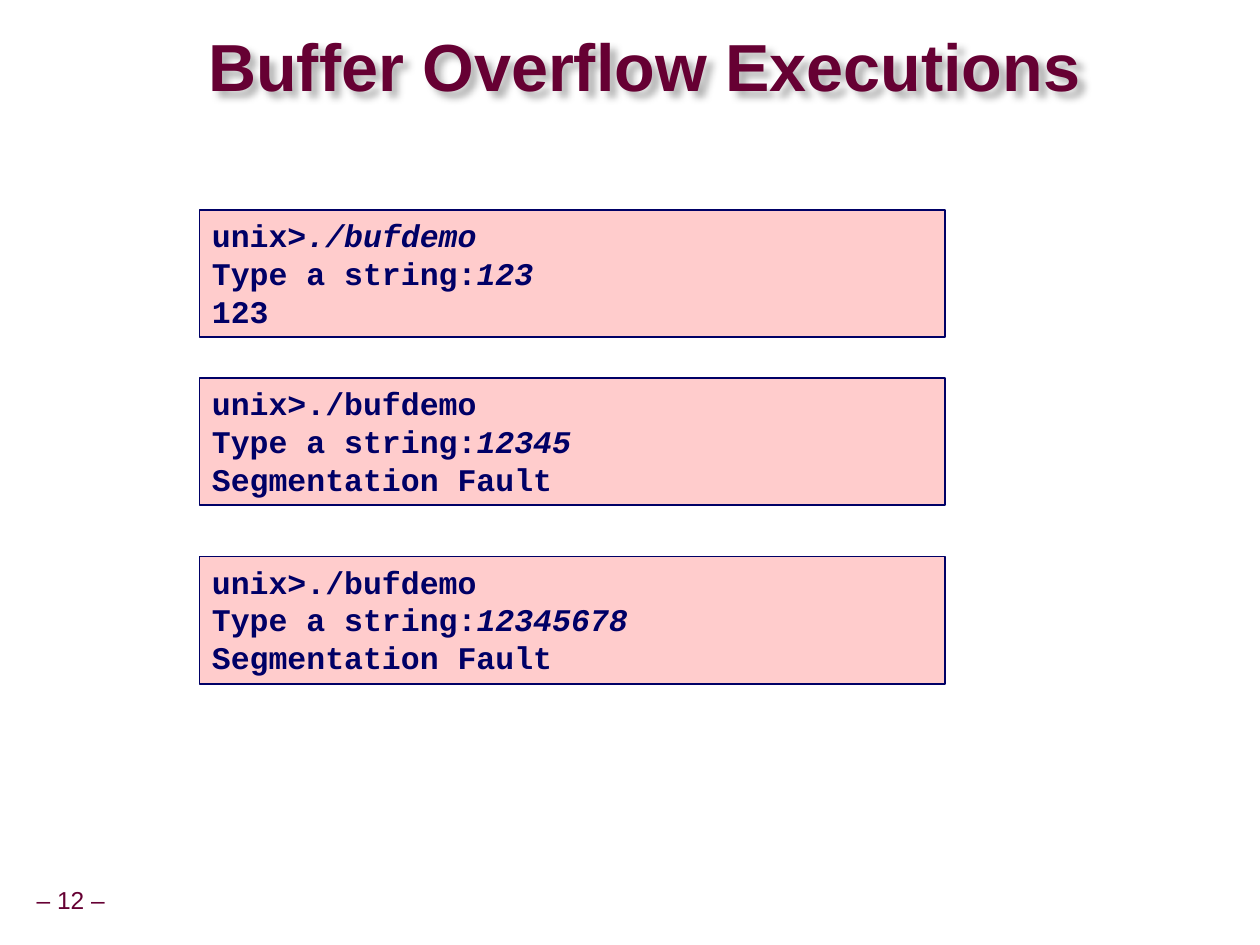
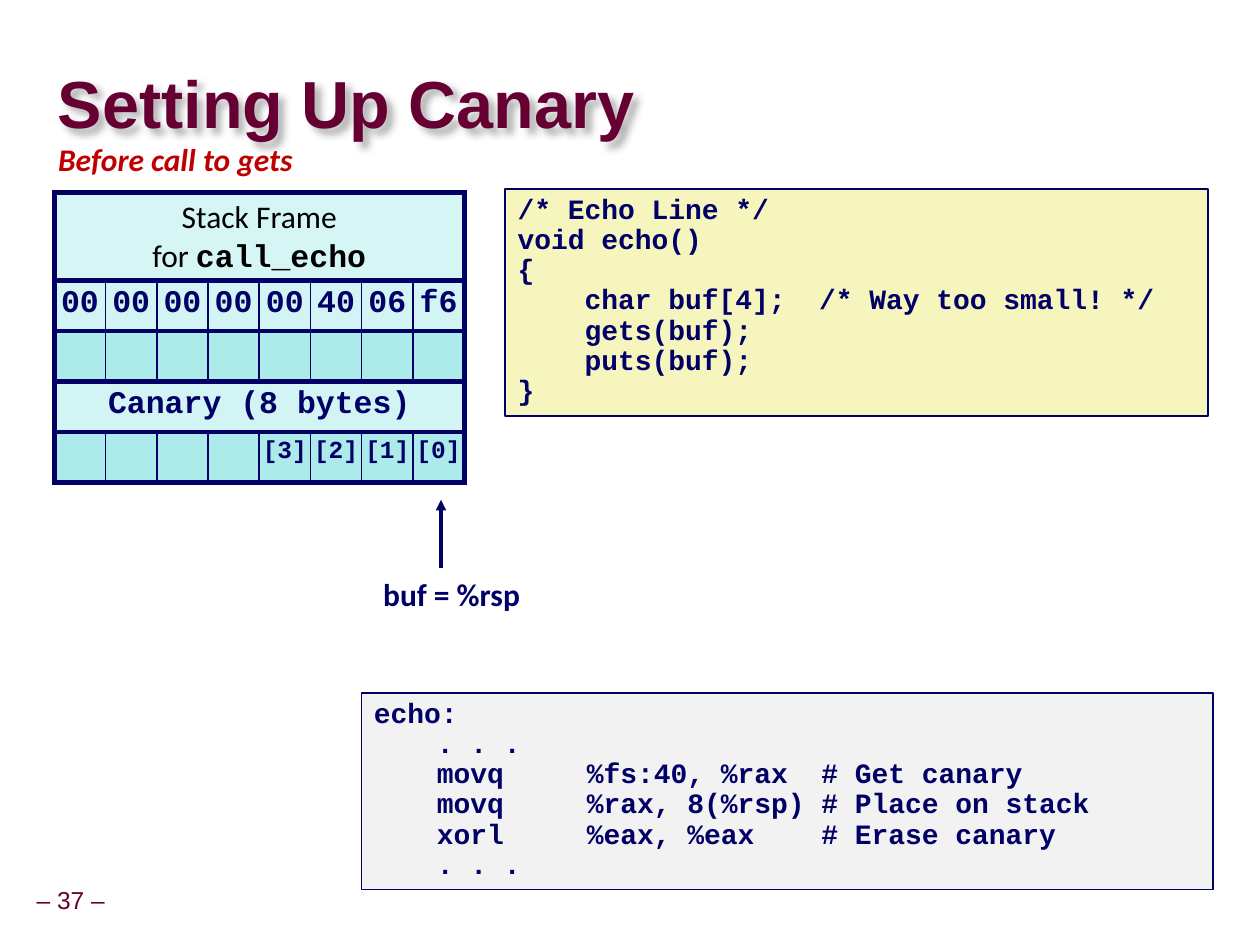
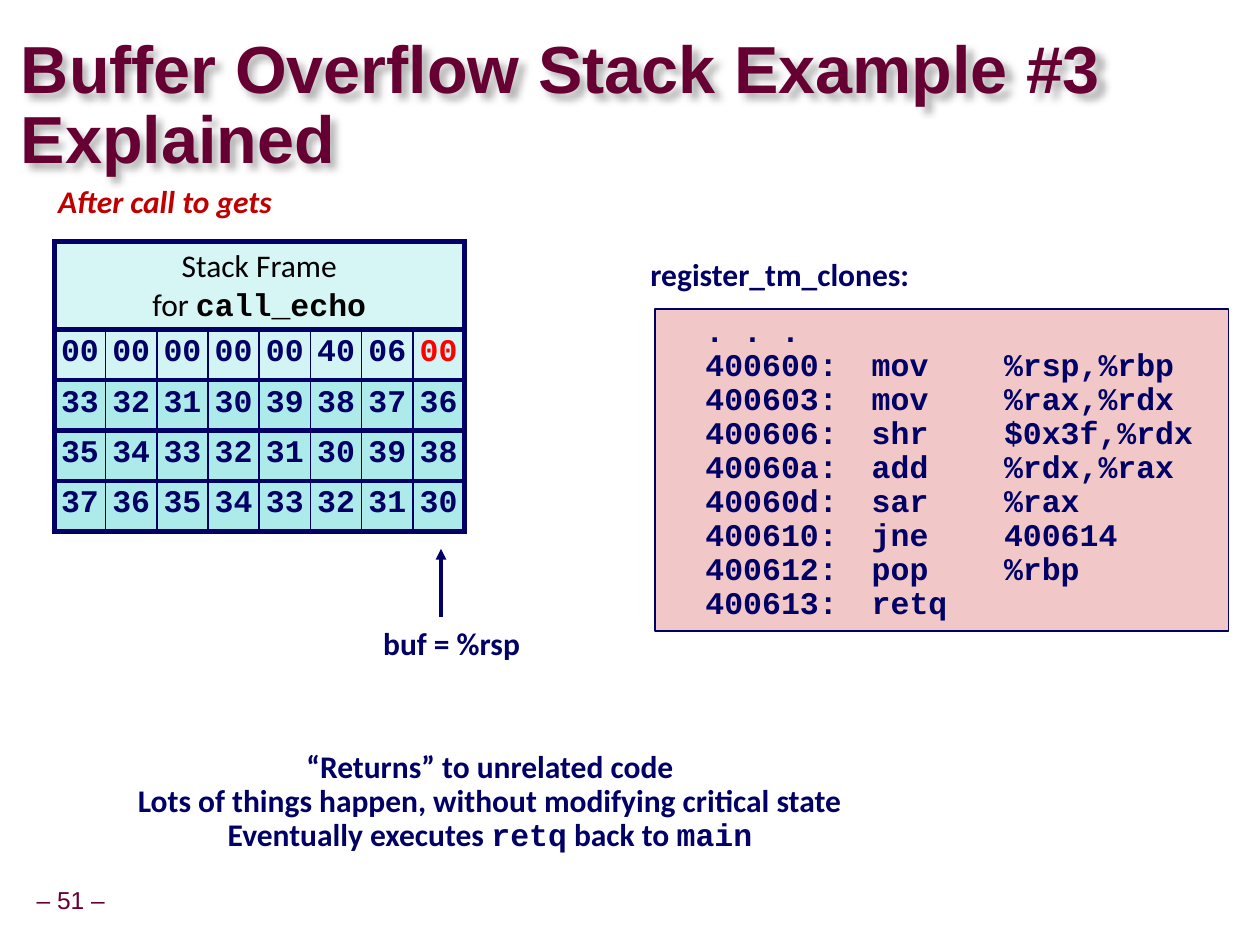
"""Build three lecture slides about buffer overflows and stack canaries."""
from dataclasses import dataclass, replace
from functools import partial
from typing import Optional, Sequence

from lxml.etree import SubElement
from pptx import Presentation
from pptx.dml.color import RGBColor
from pptx.enum.shapes import MSO_CONNECTOR as Connector, MSO_SHAPE as Preset
from pptx.enum.text import MSO_ANCHOR as Anchor, PP_ALIGN as Align
from pptx.oxml.ns import qn
from pptx.util import Pt

NAVY = RGBColor(0x00, 0x00, 0x66)
MAROON = RGBColor(0x66, 0x00, 0x33)
CRIMSON = RGBColor(0xC0, 0x00, 0x00)
RED = RGBColor(0xFF, 0x00, 0x00)
BLACK = RGBColor(0x00, 0x00, 0x00)
PINK = RGBColor(0xFF, 0xCC, 0xCC)
ROSE = RGBColor(0xF1, 0xC7, 0xC7)
YELLOW = RGBColor(0xF6, 0xF5, 0xBD)
GREY = RGBColor(0xF2, 0xF2, 0xF2)
FRAME_FILL = RGBColor(0xD6, 0xF5, 0xF5)
LIGHT_FILL = RGBColor(0xD2, 0xF4, 0xF4)
BUFFER_FILL = RGBColor(0xAD, 0xEB, 0xEB)

STACK_LEFT, STACK_WIDTH, BYTES = 31, 234.4, 8
HEADER_HEIGHT, ROW_HEIGHT = 50.4, 28.8
THICK, THIN = 3, 1


@dataclass(frozen=True)
class Span:
    """A stretch of text in one style."""
    text: str
    font: str = "Calibri"
    size: float = 18
    color: RGBColor = NAVY
    bold: bool = True
    italic: bool = False


@dataclass(frozen=True)
class Frame:
    """A rectangle on the page, in points."""
    left: float
    top: float
    width: float
    height: float

    def lengths(self) -> tuple:
        """Return the four sides as slide lengths."""
        return Pt(self.left), Pt(self.top), Pt(self.width), Pt(self.height)


@dataclass(frozen=True)
class StackRow:
    """One row of the stack: eight bytes, or one value across them all."""
    values: Sequence[str]
    fill: RGBColor
    size: float = 18
    last_color: RGBColor = NAVY


Line = Sequence[Span]
code = partial(Span, font="Courier New")
typed = partial(code, italic=True)
plain = partial(Span, color=BLACK, bold=False)


def write_lines(text_frame, lines: Sequence[Line], align=Align.LEFT,
                spacing: Optional[float] = 0.9, tabs: Sequence[float] = ()) -> None:
    """Write each line as a paragraph, run by run."""
    for index, line in enumerate(lines):
        para = text_frame.add_paragraph() if index else text_frame.paragraphs[0]
        para.alignment = align
        para.line_spacing = spacing
        if tabs:
            stops = SubElement(para._p.get_or_add_pPr(), qn("a:tabLst"))
            for tab in tabs:
                SubElement(stops, qn("a:tab"), pos=str(Pt(tab)), algn="l")
        for span in line:
            run = para.add_run()
            run.text = span.text
            run.font.name = span.font
            run.font.size = Pt(span.size)
            run.font.bold = span.bold
            run.font.italic = span.italic
            run.font.color.rgb = span.color


def draw_label(page, frame: Frame, lines: Sequence[Line], wrap: bool = False):
    """Draw centred text without a border."""
    box = page.shapes.add_textbox(*frame.lengths())
    box.text_frame.word_wrap = wrap
    write_lines(box.text_frame, lines, Align.CENTER)
    return box


def draw_title(page, frame: Frame, text: str) -> None:
    """Draw the slide title with its soft shadow."""
    box = page.shapes.add_textbox(*frame.lengths())
    text_frame = box.text_frame
    text_frame.word_wrap = True
    text_frame.vertical_anchor = Anchor.MIDDLE
    text_frame.margin_left = text_frame.margin_right = 0
    text_frame.margin_top = text_frame.margin_bottom = 0
    write_lines(text_frame, [[Span(text, "Arial", 38, MAROON)]], spacing=0.87)
    effects = SubElement(box.element.spPr, qn("a:effectLst"))
    shadow = SubElement(effects, qn("a:outerShdw"), blurRad=str(Pt(4)),
                        dist=str(Pt(4)), dir="2700000", algn="tl", rotWithShape="0")
    black = SubElement(shadow, qn("a:srgbClr"), val=str(BLACK))
    SubElement(black, qn("a:alpha"), val="30000")


def add_page(deck, number: int, title_frame: Frame, title: str):
    """Add a blank page with its number and title."""
    page = deck.slides.add_slide(deck.slide_layouts[6])
    footer = Span(f"– {number} –", "Arial", 14, MAROON, bold=False)
    box = draw_label(page, Frame(16.7, 504, 47.5, 22.3), [[footer]])
    box.text_frame.vertical_anchor = Anchor.MIDDLE
    box.text_frame.margin_left = box.text_frame.margin_right = Pt(3.6)
    draw_title(page, title_frame, title)
    return page


def draw_code(page, frame: Frame, fill: RGBColor, lines: Sequence[Line],
              spacing: Optional[float] = 0.9, second_tab: float = 116.64) -> None:
    """Draw a bordered box of code."""
    box = page.shapes.add_shape(Preset.RECTANGLE, *frame.lengths())
    box.shadow.inherit = False
    box.fill.solid()
    box.fill.fore_color.rgb = fill
    box.line.color.rgb = NAVY
    box.line.width = Pt(1)
    box.text_frame.word_wrap = True
    box.text_frame.vertical_anchor = Anchor.TOP
    write_lines(box.text_frame, lines, spacing=spacing, tabs=(36, second_tab))


def style_cell(cell, fill: RGBColor, left: float, right: float) -> None:
    """Set the borders and the fill of a cell."""
    properties = cell._tc.get_or_add_tcPr()
    for side, width in zip("LRTB", (left, right, THICK, THICK)):
        border = SubElement(properties, qn(f"a:ln{side}"), w=str(Pt(width)))
        solid = SubElement(border, qn("a:solidFill"))
        SubElement(solid, qn("a:srgbClr"), val=str(NAVY))
    cell.fill.solid()
    cell.fill.fore_color.rgb = fill


def draw_stack(page, top: float, rows: Sequence[StackRow]) -> None:
    """Draw the stack table and the pointer to its buffer."""
    height = HEADER_HEIGHT + ROW_HEIGHT * len(rows)
    frame = Frame(STACK_LEFT, top, STACK_WIDTH, height)
    table = page.shapes.add_table(len(rows) + 1, BYTES, *frame.lengths()).table
    table.first_row = table.horz_banding = False
    for column in table.columns:
        column.width = Pt(STACK_WIDTH / BYTES)
    table.rows[0].height = Pt(HEADER_HEIGHT)

    header = table.cell(0, 0)
    header.merge(table.cell(0, BYTES - 1))
    style_cell(header, FRAME_FILL, THICK, THICK)
    write_lines(header.text_frame, [
        [plain("Stack Frame")],
        [plain("for "), code("call_echo", color=BLACK)],
    ], Align.CENTER, spacing=None)

    for index, row in enumerate(rows, 1):
        table.rows[index].height = Pt(ROW_HEIGHT)
        last = len(row.values) - 1
        if last == 0:
            table.cell(index, 0).merge(table.cell(index, BYTES - 1))
        for column, value in enumerate(row.values):
            cell = table.cell(index, column)
            style_cell(cell, row.fill, THIN if column else THICK,
                       THICK if column == last else THIN)
            cell.margin_left = cell.margin_right = Pt(0.72)
            cell.margin_top, cell.margin_bottom = Pt(3.6), 0
            if value:
                color = row.last_color if column == last else NAVY
                span = code(value, size=row.size, color=color)
                write_lines(cell.text_frame, [[span]], Align.CENTER)

    draw_label(page, Frame(210.2, top + 217.4, 95.8, 28.8), [[Span("buf = %rsp ")]], wrap=True)
    arrow = page.shapes.add_connector(Connector.STRAIGHT, Pt(252), Pt(top + 214.6),
                                      Pt(252), Pt(top + 175.7))
    arrow.line.color.rgb = NAVY
    arrow.line.width = Pt(2)
    properties = arrow.element.spPr
    SubElement(properties.find(qn("a:ln")), qn("a:tailEnd"), type="triangle")
    SubElement(properties, qn("a:effectLst"))


def build_executions(deck) -> None:
    """Build the slide with three runs of the program."""
    page = add_page(deck, 12, Frame(119, 17.7, 504.7, 45.4), "Buffer Overflow Executions")
    fault = "Segmentation Fault"
    first_command = [code("unix>"), typed("./bufdemo")]
    command = [code("unix>./bufdemo")]
    sessions = [
        (120, first_command, "123", "123"),
        (216, command, "12345", fault),
        (318, command, "12345678", fault),
    ]
    for top, prompt, entry, result in sessions:
        lines = [prompt, [code("Type a string:"), typed(entry)], [code(result)]]
        draw_code(page, Frame(114, top, 426, 72.8), PINK, lines, spacing=None)


def build_canary(deck) -> None:
    """Build the slide on placing the canary."""
    page = add_page(deck, 37, Frame(33.1, 38.9, 511, 45.4), "Setting Up Canary")
    small = partial(code, size=16)
    assembly = [
        "echo:",
        "\t. . .",
        "\tmovq\t%fs:40, %rax  # Get canary",
        "\tmovq\t%rax, 8(%rsp) # Place on stack",
        "\txorl\t%eax, %eax    # Erase canary",
        "\t. . .",
    ]
    source = [
        "/* Echo Line */",
        "void echo()",
        "{",
        "    char buf[4];  /* Way too small! */",
        "    gets(buf);",
        "    puts(buf);",
        "}",
    ]
    draw_code(page, Frame(206.6, 396, 486.7, 112.3), GREY,
              [[small(text)] for text in assembly], second_tab=121.68)
    draw_code(page, Frame(288.7, 108, 401.8, 129.6), YELLOW,
              [[small(text)] for text in source])
    heading = Span("Before call to gets", color=CRIMSON, italic=True)
    draw_label(page, Frame(25, 79.2, 150.5, 28.8), [[heading]])
    draw_stack(page, 110, [
        StackRow("00 00 00 00 00 40 06 f6".split(), LIGHT_FILL),
        StackRow([""] * BYTES, BUFFER_FILL),
        StackRow(["Canary (8 bytes)"], LIGHT_FILL),
        StackRow([""] * 4 + ["[3]", "[2]", "[1]", "[0]"], BUFFER_FILL, size=14),
    ])


def build_explained(deck) -> None:
    """Build the slide explaining the third overflow."""
    page = add_page(deck, 51, Frame(12, 38.9, 689.8, 45.4),
                    "Buffer Overflow Stack Example #3 Explained")
    listing = [
        "  . . .",
        "  400600:\tmov    %rsp,%rbp",
        "  400603:\tmov    %rax,%rdx",
        "  400606:\tshr    $0x3f,%rdx",
        "  40060a:\tadd    %rdx,%rax",
        "  40060d:\tsar    %rax",
        "  400610:\tjne    400614",
        "  400612:\tpop    %rbp",
        "  400613:\tretq",
    ]
    draw_code(page, Frame(374.4, 176.4, 327.6, 184.3), ROSE, [[code(text)] for text in listing])
    draw_label(page, Frame(355.7, 144.7, 180, 36), [[Span("register_tm_clones:")]])
    draw_label(page, Frame(60, 425.8, 440, 72.7), [
        [Span("“Returns” to unrelated code")],
        [Span("Lots of things happen, without modifying critical state")],
        [Span("Eventually executes "), code("retq"), Span(" back to "), code("main")],
    ])
    heading = Span("After call to gets", color=CRIMSON, italic=True)
    draw_label(page, Frame(19.3, 103, 150, 28.8), [[heading]])
    buffer_rows = [
        "33 32 31 30 39 38 37 36",
        "35 34 33 32 31 30 39 38",
        "37 36 35 34 33 32 31 30",
    ]
    address = StackRow("00 00 00 00 00 40 06 00".split(), LIGHT_FILL)
    draw_stack(page, 138, [replace(address, last_color=RED)]
               + [StackRow(row.split(), BUFFER_FILL) for row in buffer_rows])


def main() -> None:
    """Build the deck and save it."""
    deck = Presentation()
    deck.slide_width, deck.slide_height = Pt(720), Pt(540)
    build_executions(deck)
    build_canary(deck)
    build_explained(deck)
    deck.save("out.pptx")


if __name__ == "__main__":
    main()
